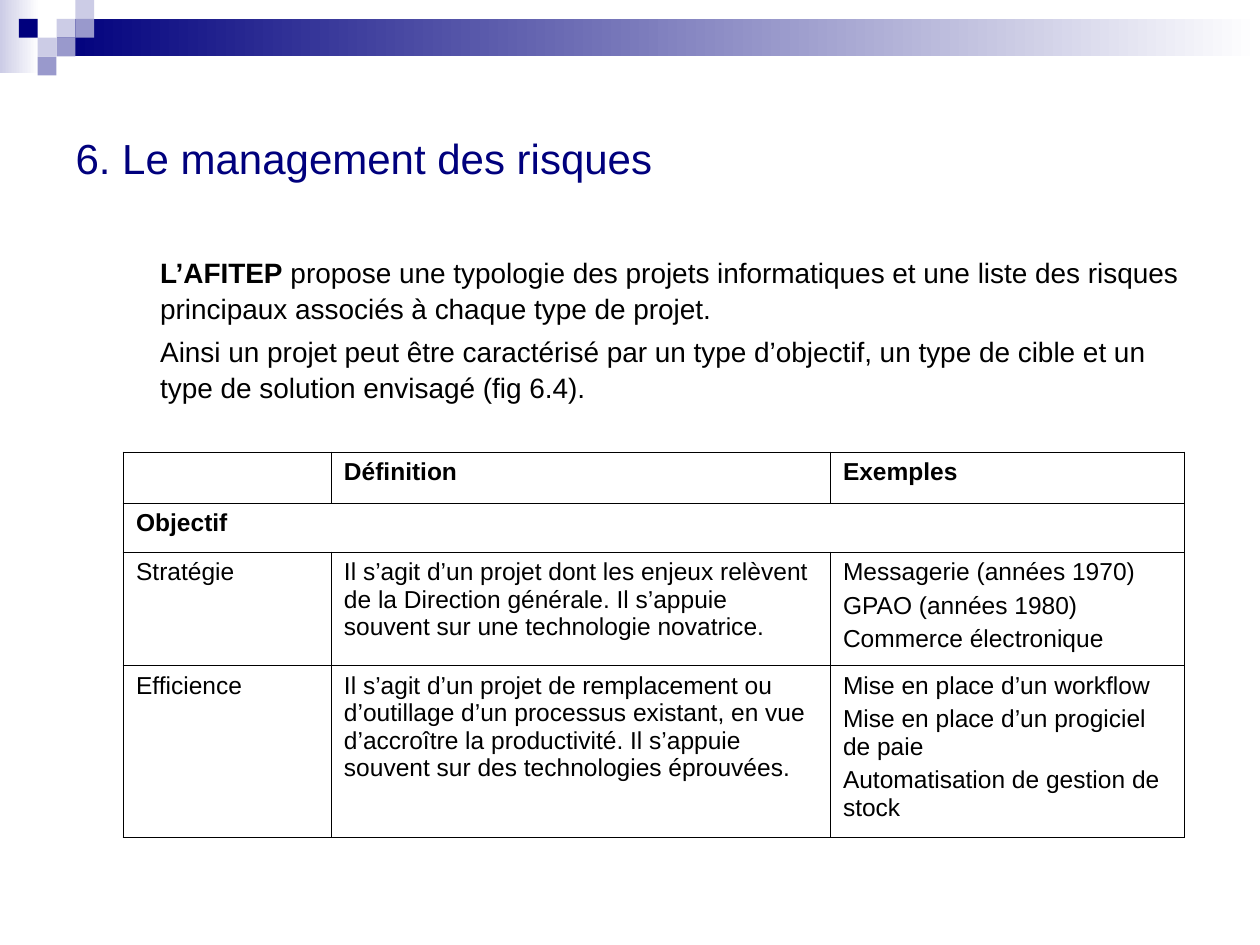
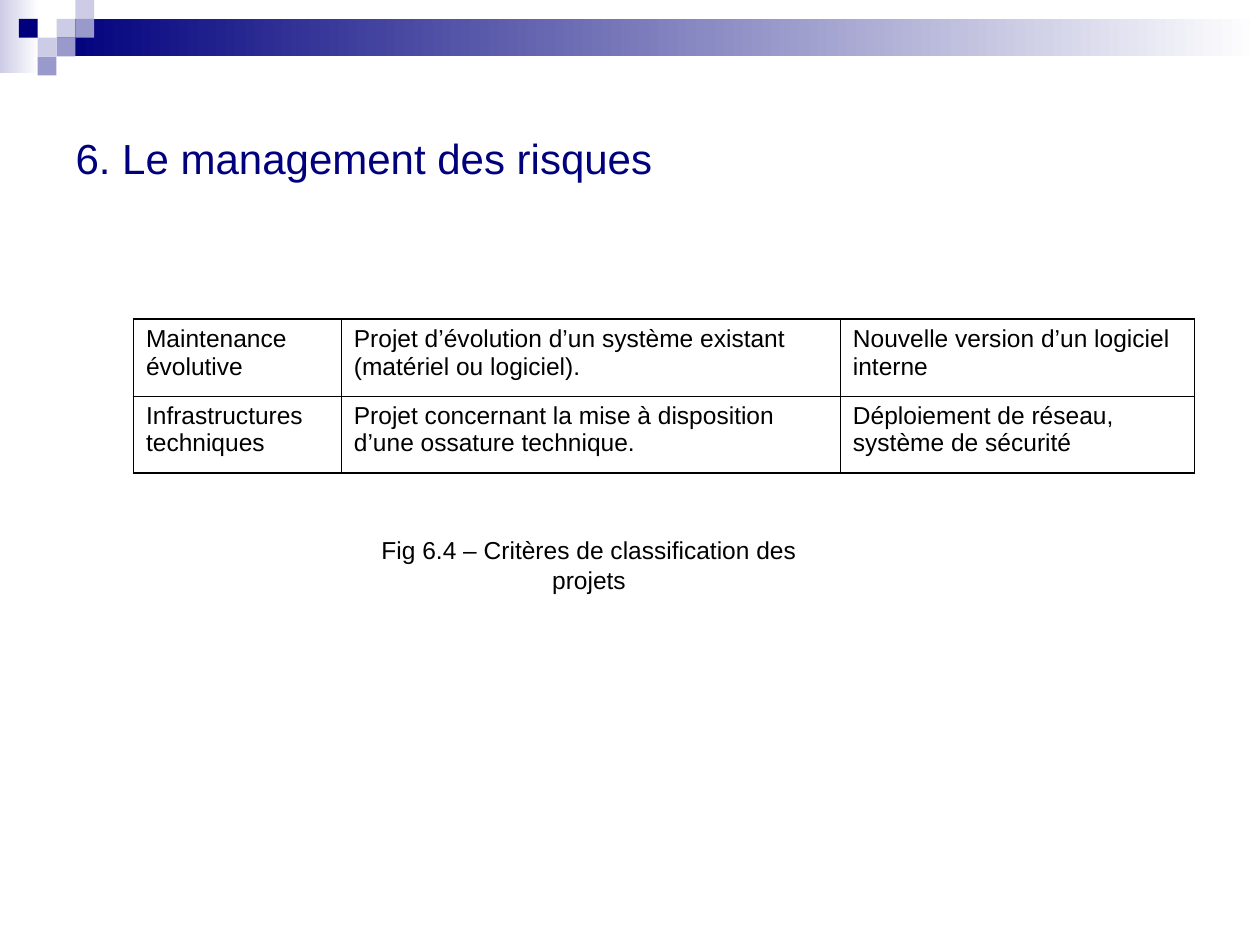
from lxml.etree import SubElement
from pptx import Presentation
from pptx.dml.color import RGBColor
from pptx.enum.shapes import MSO_SHAPE
from pptx.enum.text import MSO_ANCHOR, PP_ALIGN
from pptx.oxml.ns import qn
from pptx.util import Cm, Pt

FONT = "Arial"
NAVY, LAVENDER, LILAC = "00007D", "9999CC", "CCCCE6"
BLACK, WHITE = "000000", "FFFFFF"
TITLE = "6. Le management des risques"
MOSAIC_STEP = 0.38
MOSAIC = [
    (3, 1, LILAC), (4, 0, LILAC), (4, 1, LAVENDER), (2, 2, LILAC),
    (1, 1, NAVY), (3, 2, LAVENDER), (2, 3, LAVENDER),
]
COLUMN_WIDTHS = [4.19, 10.06, 7.14]
OUTER_LINE, INNER_LINE = 1.08, 0.45

INTRODUCTION = [
    [("L’AFITEP", True),
     (" propose une typologie des projets informatiques et une liste des "
      "risques principaux associés à chaque type de projet.", False)],
    "Ainsi un projet peut être caractérisé par un type d’objectif, un type "
    "de cible et un type de solution envisagé (fig 6.4).",
]
OBJECTIVES = [
    ["", "Définition", "Exemples"],
    ["Objectif", "", ""],
    ["Stratégie",
     "Il s’agit d’un projet dont les enjeux relèvent de la Direction "
     "générale. Il s’appuie souvent sur une technologie novatrice.",
     ["Messagerie (années 1970)", "GPAO (années 1980)",
      "Commerce électronique"]],
    ["Efficience",
     "Il s’agit d’un projet de remplacement ou d’outillage d’un processus "
     "existant, en vue d’accroître la productivité. Il s’appuie souvent sur "
     "des technologies éprouvées.",
     ["Mise en place d’un workflow", "Mise en place d’un progiciel de paie",
      "Automatisation de gestion de stock"]],
]
TECHNICAL_PROJECTS = [
    ["Maintenance évolutive",
     "Projet d’évolution d’un système existant (matériel ou logiciel).",
     "Nouvelle version d’un logiciel interne"],
    ["Infrastructures techniques",
     "Projet concernant la mise à disposition d’une ossature technique.",
     "Déploiement de réseau, système de sécurité"],
]


def rgb(code):
    return RGBColor.from_string(code)


def write_text(frame, paragraphs, size=14, color=BLACK, bold=False,
               align=PP_ALIGN.LEFT, gap=0, spacing=None):
    if isinstance(paragraphs, str):
        paragraphs = [paragraphs]
    for index, content in enumerate(paragraphs):
        paragraph = frame.add_paragraph() if index else frame.paragraphs[0]
        paragraph.alignment = align
        paragraph.line_spacing = spacing
        if index:
            paragraph.space_before = Pt(gap)
        runs = [(content, bold)] if isinstance(content, str) else content
        for text, run_bold in runs:
            run = paragraph.add_run()
            run.text = text
            run.font.name = FONT
            run.font.size = Pt(size)
            run.font.bold = run_bold
            run.font.color.rgb = rgb(color)


def add_text(slide, box, paragraphs, wrap=True, **text_format):
    frame = slide.shapes.add_textbox(*map(Cm, box)).text_frame
    frame.word_wrap = wrap
    write_text(frame, paragraphs, **text_format)
    return frame


def add_block(slide, box, color, fade_to=None):
    block = slide.shapes.add_shape(MSO_SHAPE.RECTANGLE, *map(Cm, box))
    block.shadow.inherit = False
    block.line.fill.background()
    if fade_to:
        block.fill.gradient()
        block.fill.gradient_angle = 0
        for stop, code in zip(block.fill.gradient_stops, (color, fade_to)):
            stop.color.rgb = rgb(code)
    else:
        block.fill.solid()
        block.fill.fore_color.rgb = rgb(color)
    return block


def decorate_layout(layout, slide):
    for placeholder in list(layout.placeholders)[1:]:
        layout.shapes.element.remove(placeholder.element)
    step = MOSAIC_STEP
    blocks = [
        add_block(slide, (0, 0, 0.79, 1.47), LILAC, fade_to=WHITE),
        add_block(slide, (3 * step, step, 24.26, 2 * step), NAVY, fade_to=WHITE),
    ]
    for column, row, color in MOSAIC:
        square = (column * step, row * step, step, step)
        blocks.append(add_block(slide, square, color))
    for block in blocks:
        layout.shapes.element.append(block.element)


def add_titled_slide(deck, layout):
    slide = deck.slides.add_slide(layout)
    title = slide.shapes.title
    title.left, title.top, title.width, title.height = map(
        Cm, (1.27, 1.27, 22.86, 3.81))
    title.text_frame.vertical_anchor = MSO_ANCHOR.MIDDLE
    write_text(title.text_frame, TITLE, size=24, color=NAVY)
    return slide


def set_borders(cell, **widths):
    properties = cell._tc.get_or_add_tcPr()
    for side, width in widths.items():
        border = SubElement(properties, qn("a:ln" + side), w=str(Pt(width)))
        fill = SubElement(border, qn("a:solidFill"))
        SubElement(fill, qn("a:srgbClr"), val=BLACK)


def add_grid(slide, left, top, row_heights, rows, bold_rows=()):
    box = (left, top, sum(COLUMN_WIDTHS), sum(row_heights))
    grid = slide.shapes.add_table(
        len(rows), len(COLUMN_WIDTHS), *map(Cm, box)).table
    grid.first_row = grid.horz_banding = False
    for column, width in zip(grid.columns, COLUMN_WIDTHS):
        column.width = Cm(width)
    last_row, last_column = len(rows) - 1, len(COLUMN_WIDTHS) - 1
    for r, (height, row) in enumerate(zip(row_heights, rows)):
        grid.rows[r].height = Cm(height)
        for c, content in enumerate(row):
            cell = grid.cell(r, c)
            set_borders(
                cell,
                L=OUTER_LINE if c == 0 else INNER_LINE,
                R=OUTER_LINE if c == last_column else INNER_LINE,
                T=OUTER_LINE if r == 0 else INNER_LINE,
                B=OUTER_LINE if r == last_row else INNER_LINE,
            )
            cell.fill.background()
            if content:
                write_text(cell.text_frame, content, bold=r in bold_rows, gap=3.5)
    return grid


def main():
    deck = Presentation()
    deck.slide_width, deck.slide_height = Cm(25.4), Cm(19.05)
    layout = deck.slide_layouts[5]

    objectives = add_titled_slide(deck, layout)
    decorate_layout(layout, objectives)
    introduction = add_text(objectives, (1.27, 4.72, 22.83, 13.61),
                            INTRODUCTION, size=16, gap=4.5, spacing=1.06)
    introduction.margin_left = Cm(1.96)
    introduction.margin_top = Cm(0.4)
    grid = add_grid(objectives, 2.49, 9.12, [0.99, 0.99, 2.29, 3.45],
                    OBJECTIVES, bold_rows=(0, 1))
    grid.cell(1, 0).merge(grid.cell(1, 2))

    technical = add_titled_slide(deck, layout)
    add_grid(technical, 2.69, 6.43, [1.55, 1.55], TECHNICAL_PROJECTS)
    add_text(technical, (6.63, 10.67, 10.49, 0.86),
             "Fig 6.4 – Critères de classification des projets",
             wrap=False, align=PP_ALIGN.CENTER)

    deck.save("out.pptx")


if __name__ == "__main__":
    main()
